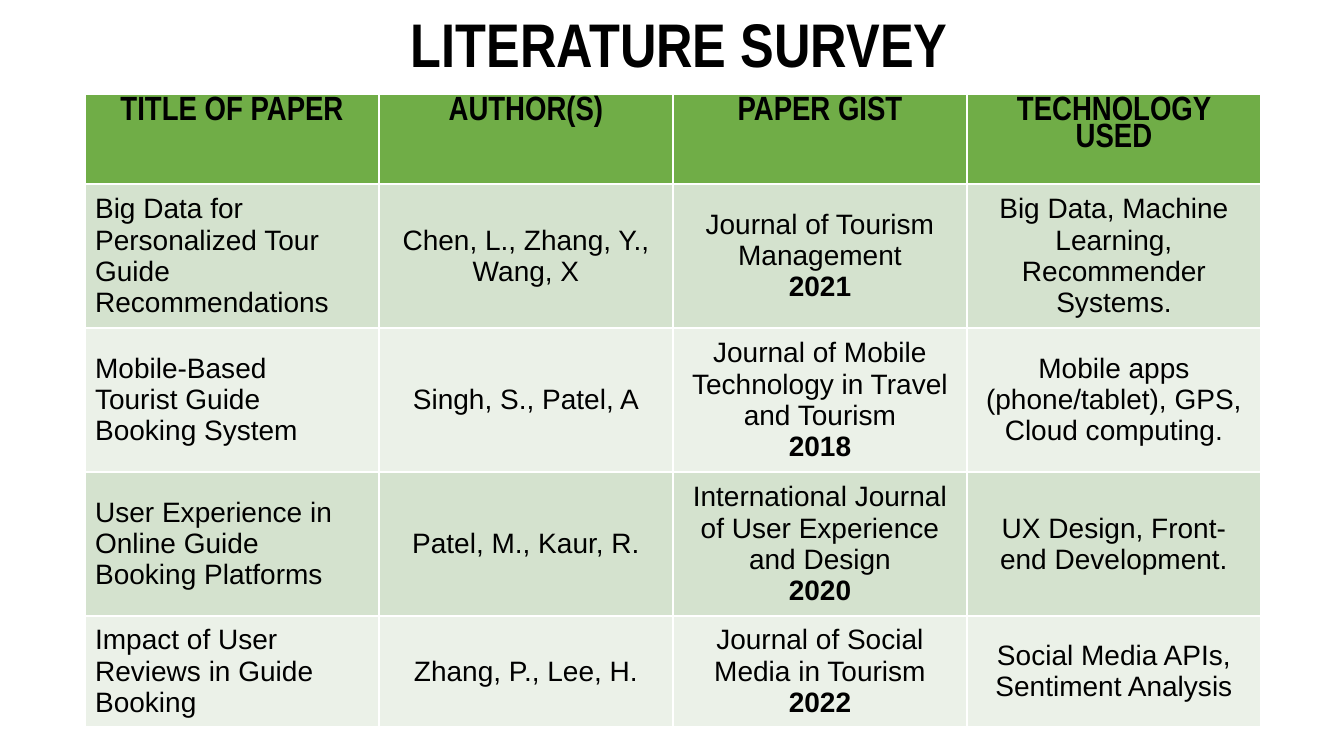
from pptx import Presentation
from pptx.dml.color import RGBColor
from pptx.enum.text import MSO_ANCHOR, PP_ALIGN
from pptx.util import Pt

PX = 914400 / 100.8  # EMU per pixel

BLACK = RGBColor(0x00, 0x00, 0x00)
HEADER_GREEN = RGBColor(0x70, 0xAD, 0x47)
BAND_DARK = RGBColor(0xD4, 0xE2, 0xCE)
BAND_LIGHT = RGBColor(0xEB, 0xF1, 0xE8)

HEADERS = ["TITLE OF PAPER", "AUTHOR(S)", "PAPER GIST", "TECHNOLOGY USED"]

# Each line of a cell is a paragraph of its own
PAPERS = [
    ["Big Data for\nPersonalized Tour\nGuide\nRecommendations",
     "Chen, L., Zhang, Y.,\nWang, X",
     "Journal of Tourism\nManagement\n2021",
     "Big Data, Machine\nLearning,\nRecommender\nSystems."],
    ["Mobile-Based\nTourist Guide\nBooking System",
     "Singh, S., Patel, A",
     "Journal of Mobile\nTechnology in Travel\nand Tourism\n2018",
     "Mobile apps\n(phone/tablet), GPS,\nCloud computing."],
    ["User Experience in\nOnline Guide\nBooking Platforms",
     "Patel, M., Kaur, R.",
     "International Journal\nof User Experience\nand Design\n2020",
     "UX Design, Front-\nend Development."],
    ["Impact of User\nReviews in Guide\nBooking",
     "Zhang, P., Lee, H.",
     "Journal of Social\nMedia in Tourism\n2022",
     "Social Media APIs,\nSentiment Analysis"],
]


def px(length):
    return round(length * PX)


def write(frame, text, *, font, size, bold=False, align=PP_ALIGN.CENTER, spacing=None):
    """Write one paragraph per line; lines holding only a year are bold."""
    for index, line in enumerate(text.split("\n")):
        para = frame.add_paragraph() if index else frame.paragraphs[0]
        para.alignment = align
        if spacing:
            para.line_spacing = spacing
        span = para.add_run()
        span.text = line
        span.font.name = font
        span.font.size = Pt(size)
        span.font.bold = bold or line.isdigit()
        span.font.color.rgb = BLACK


class SurveySlide:
    heading_font = "Arial Narrow"
    body_font = "Arial"

    def __init__(self, deck):
        self.page = deck.slides.add_slide(deck.slide_layouts[5])

    def title(self, text, left, top, width, height):
        box = self.page.shapes.title
        box.left, box.top, box.width, box.height = map(px, (left, top, width, height))
        box.text_frame.vertical_anchor = MSO_ANCHOR.MIDDLE
        write(box.text_frame, text, font=self.heading_font, size=44, bold=True)

    def cell(self, cell, text, fill, anchor, **style):
        cell.fill.solid()
        cell.fill.fore_color.rgb = fill
        cell.vertical_anchor = anchor
        write(cell.text_frame, text, **style)

    def table(self, headers, papers, left, top, column_width, row_heights):
        width = column_width * len(headers)
        table = self.page.shapes.add_table(
            len(row_heights), len(headers),
            px(left), px(top), px(width), px(sum(row_heights))).table
        for column in table.columns:
            column.width = px(column_width)
        for row, height in zip(table.rows, row_heights):
            row.height = px(height)

        # Header row
        for column, text in enumerate(headers):
            self.cell(table.cell(0, column), text, HEADER_GREEN, MSO_ANCHOR.TOP,
                      font=self.heading_font, size=24, bold=True, spacing=0.85)

        # Banded paper rows, first column left aligned
        for row, paper in enumerate(papers, start=1):
            fill = BAND_DARK if row % 2 else BAND_LIGHT
            for column, text in enumerate(paper):
                align = PP_ALIGN.CENTER if column else PP_ALIGN.LEFT
                self.cell(table.cell(row, column), text, fill, MSO_ANCHOR.MIDDLE,
                          font=self.body_font, size=20, align=align)


def main():
    deck = Presentation()
    deck.slide_width, deck.slide_height = px(1344), px(756)
    survey = SurveySlide(deck)
    survey.title("LITERATURE SURVEY", 15, 0, 1329, 85)
    survey.table(HEADERS, PAPERS, 85, 94, 294, [90, 144, 144, 144, 111])
    deck.save("out.pptx")


if __name__ == "__main__":
    main()
